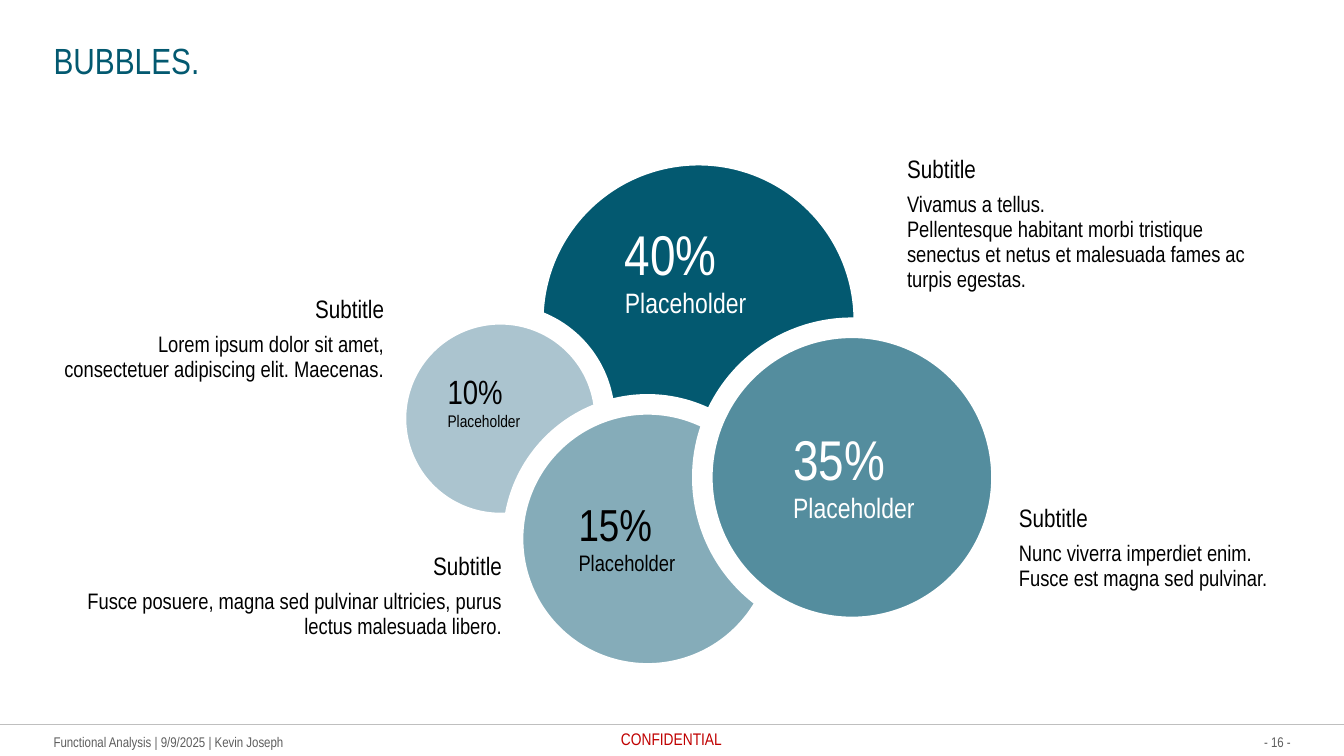
from dataclasses import dataclass

from lxml import etree
from pptx import Presentation
from pptx import util as u
from pptx.dml.color import RGBColor
from pptx.enum import shapes, text
from pptx.oxml import ns

FONT = "Arial Narrow"
BLACK = RGBColor(0x00, 0x00, 0x00)
WHITE = RGBColor(0xFF, 0xFF, 0xFF)
GREY = RGBColor(0x5E, 0x5E, 0x5E)
RULE_GREY = RGBColor(0xBF, 0xBF, 0xBF)
RED = RGBColor(0xC0, 0x00, 0x00)
PETROL = RGBColor(0x03, 0x59, 0x70)
TEAL = RGBColor(0x54, 0x8D, 0x9E)
MIST = RGBColor(0x85, 0xAC, 0xB9)
PALE = RGBColor(0xAB, 0xC4, 0xCF)

LEFT = text.PP_ALIGN.LEFT
RIGHT = text.PP_ALIGN.RIGHT
SLIDE_WIDTH, SLIDE_HEIGHT = 33.87, 19.05
MARGIN = 1.35
FOOTER_TOP = 18.47
BODY_SPACING = 0.93


@dataclass(frozen=True)
class Box:
    """Left, top, width and height in centimetres."""
    left: float
    top: float
    width: float
    height: float

    def lengths(self) -> tuple[u.Cm, ...]:
        return tuple(u.Cm(n) for n in (self.left, self.top, self.width, self.height))


@dataclass(frozen=True)
class Line:
    content: str
    size: int
    after: int = 0


@dataclass(frozen=True)
class Bubble:
    circle: Box
    fill: RGBColor
    label: Box
    share: str
    size: int
    color: RGBColor


@dataclass(frozen=True)
class Note:
    box: Box
    align: text.PP_ALIGN
    body: tuple[str, ...]


# Bubbles from back to front
BUBBLES = [
    Bubble(Box(13.44, 3.91, 8.33, 8.33), PETROL, Box(15.75, 5.69, 3.2, 2.39), "40%", 40, WHITE),
    Bubble(Box(9.98, 7.92, 5.26, 5.26), PALE, Box(11.28, 9.45, 1.9, 1.42), "10%", 24, BLACK),
    Bubble(Box(12.93, 10.19, 6.78, 6.78), MIST, Box(14.58, 12.65, 2.54, 1.9), "15%", 32, BLACK),
    Bubble(Box(17.7, 8.26, 7.54, 7.54), TEAL, Box(19.99, 10.85, 3.2, 2.39), "35%", 40, WHITE),
]

NOTES = [
    Note(Box(1.5, 7.47, 8.18, 2.84), RIGHT,
         ("Lorem ipsum dolor sit amet, consectetuer adipiscing elit. Maecenas.",)),
    Note(Box(2.11, 13.94, 10.54, 2.21), RIGHT,
         ("Fusce posuere, magna sed pulvinar ultricies, purus lectus malesuada libero.",)),
    Note(Box(25.68, 12.73, 6.5, 2.84), LEFT,
         ("Nunc viverra imperdiet enim. Fusce est magna sed pulvinar.",)),
    Note(Box(22.86, 3.94, 9.32, 3.48), LEFT,
         ("Vivamus a tellus.",
          "Pellentesque habitant morbi tristique senectus et netus et malesuada "
          "fames ac turpis egestas.")),
]


def add_text(slide, box: Box, lines: list[Line], color: RGBColor, align=LEFT,
             wrap: bool = True, spacing: float = 1.0,
             anchor=text.MSO_ANCHOR.TOP) -> None:
    frame = slide.shapes.add_textbox(*box.lengths()).text_frame
    frame.margin_left = frame.margin_right = frame.margin_top = frame.margin_bottom = 0
    frame.word_wrap = wrap
    frame.auto_size = text.MSO_AUTO_SIZE.SHAPE_TO_FIT_TEXT
    frame.vertical_anchor = anchor
    for index, line in enumerate(lines):
        paragraph = frame.add_paragraph() if index else frame.paragraphs[0]
        paragraph.text = line.content
        paragraph.alignment = align
        paragraph.line_spacing = spacing
        paragraph.space_after = u.Pt(line.after)
        paragraph.font.name = FONT
        paragraph.font.size = u.Pt(line.size)
        paragraph.font.color.rgb = color


def add_circle(slide, bubble: Bubble) -> None:
    shape = slide.shapes.add_shape(shapes.MSO_SHAPE.OVAL, *bubble.circle.lengths())
    shape.shadow.inherit = False
    shape.fill.solid()
    shape.fill.fore_color.rgb = bubble.fill
    shape.line.color.rgb = WHITE
    shape.line.width = u.Pt(14.75)


def add_label(slide, bubble: Bubble) -> None:
    lines = [Line(bubble.share, bubble.size), Line("Placeholder", bubble.size // 2)]
    add_text(slide, bubble.label, lines, bubble.color, wrap=False, spacing=BODY_SPACING)


def add_note(slide, note: Note) -> None:
    lines = [Line("Subtitle", 18, after=6)] + [Line(body, 16) for body in note.body]
    add_text(slide, note.box, lines, BLACK, note.align, spacing=BODY_SPACING)


def add_footer(slide) -> None:
    rule_top = u.Cm(18.26)
    rule = slide.shapes.add_connector(
        shapes.MSO_CONNECTOR.STRAIGHT, 0, rule_top, u.Cm(SLIDE_WIDTH), rule_top)
    rule.line.color.rgb = RULE_GREY
    rule.line.width = u.Pt(1)
    etree.SubElement(rule._element.spPr, ns.qn("a:effectLst"))

    middle = text.MSO_ANCHOR.MIDDLE
    add_text(slide, Box(MARGIN, FOOTER_TOP, 6.43, 0.43),
             [Line("Functional Analysis | 9/9/2025 | Kevin Joseph", 10)], GREY,
             wrap=False, anchor=middle)
    add_text(slide, Box(31.72, FOOTER_TOP, 0.81, 0.43), [Line("- 16 -", 10)], GREY,
             RIGHT, wrap=False, anchor=middle)
    add_text(slide, Box(15.65, 18.36, 2.64, 0.51), [Line("CONFIDENTIAL", 12)], RED)


def main() -> None:
    presentation = Presentation()
    presentation.slide_width = u.Cm(SLIDE_WIDTH)
    presentation.slide_height = u.Cm(SLIDE_HEIGHT)
    slide = presentation.slides.add_slide(presentation.slide_layouts[6])

    # Footer and title
    add_footer(slide)
    add_text(slide, Box(MARGIN, 0.97, 31.19, 1.12), [Line("BUBBLES.", 26)], PETROL)

    # Overlapping circles, then their labels on top
    for bubble in BUBBLES:
        add_circle(slide, bubble)
    for bubble in BUBBLES:
        add_label(slide, bubble)

    # Notes around the bubbles
    for note in NOTES:
        add_note(slide, note)

    presentation.save("out.pptx")


if __name__ == "__main__":
    main()
